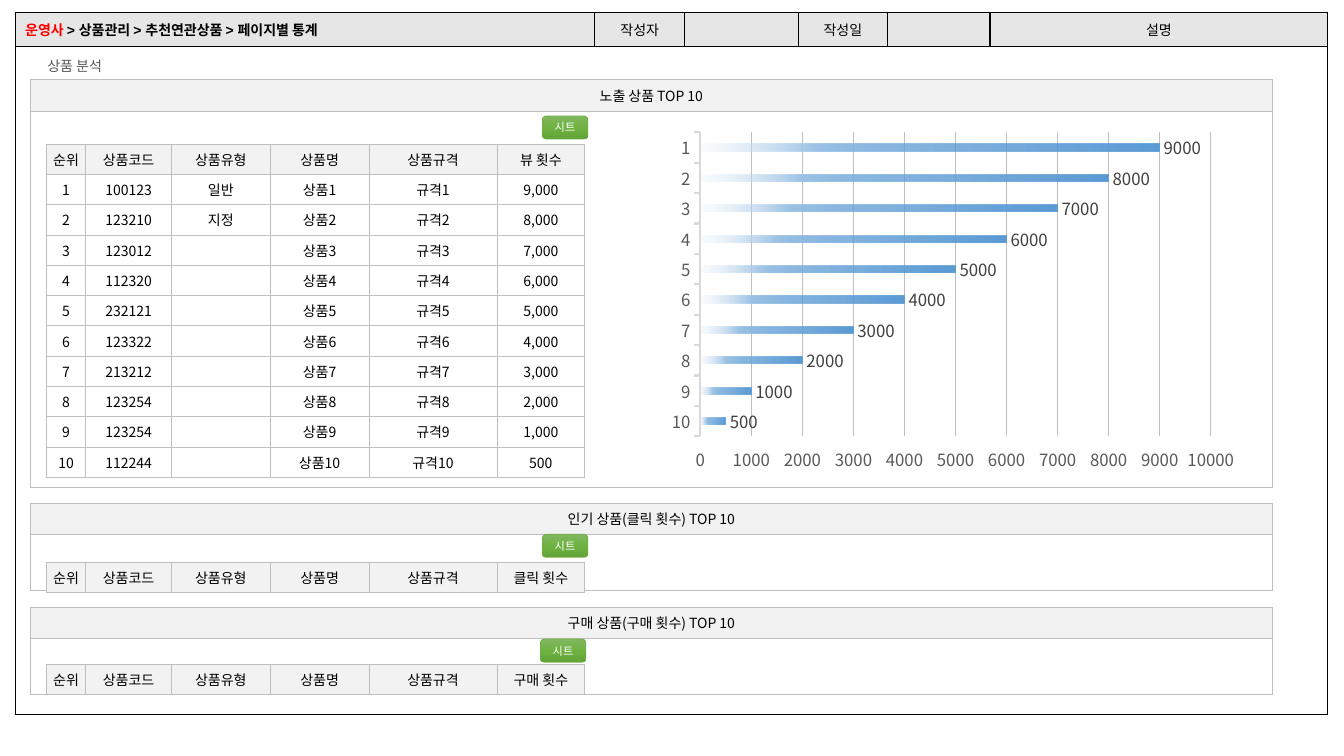
from lxml import etree
from pptx import Presentation
from pptx import util as u
from pptx.chart.data import CategoryChartData
from pptx.dml.color import RGBColor
from pptx.enum import chart as ch, shapes, text
from pptx.oxml import parse_xml
from pptx.oxml.ns import nsdecls, qn

BLACK = RGBColor(0, 0, 0)
WHITE = RGBColor(0xFF, 0xFF, 0xFF)
RED = RGBColor(0xFF, 0, 0)
HEADER_GRAY = RGBColor(0xE7, 0xE6, 0xE6)
PANEL_GRAY = RGBColor(0xF2, 0xF2, 0xF2)
LINE_GRAY = RGBColor(0xBF, 0xBF, 0xBF)
AXIS_GRAY = RGBColor(0xD9, 0xD9, 0xD9)
TEXT_GRAY = RGBColor(0x59, 0x59, 0x59)
LABEL_GRAY = RGBColor(0x40, 0x40, 0x40)
GREEN = RGBColor(0x70, 0xAD, 0x47)
NOTO = "Noto Sans CJK KR"
CENTER = text.PP_ALIGN.CENTER

# Gradient stops: position %, colour, opacity %
BUTTON_STOPS = [(0, "81B861", 100), (50, "6FB242", 100), (100, "62A336", 100)]
BAR_STOPS = [(0, "5B9BD5", 100), (51, "5B9BD5", 75),
             (75, "9DC3E6", 100), (100, "DEEBF7", 15)]

RANK_COLS = [0.39, 0.85, 0.98, 0.98, 1.27, 0.87]
RANK_HEADS = ["순위", "상품코드", "상품유형", "상품명", "상품규격"]
CODES = ["100123", "123210", "123012", "112320", "232121",
         "123322", "213212", "123254", "123254", "112244"]
KINDS = ["일반", "지정"] + [""] * 8
VIEWS = [9000, 8000, 7000, 6000, 5000, 4000, 3000, 2000, 1000, 500]


def add_text(p, content, size=10, color=BLACK, font=NOTO, bold=False, align=None):
    r = p.add_run()
    r.text = content
    r.font.size, r.font.bold, r.font.name = u.Pt(size), bold, font
    r.font.color.rgb = color
    etree.SubElement(r._r.get_or_add_rPr(), qn("a:ea")).set("typeface", NOTO)
    if align is not None:
        p.alignment = align


def set_gradient(fill, parent, stops, angle):
    """Give parent, the properties element behind fill, a linear gradient."""
    fill.solid()
    gs = "".join(
        f'<a:gs pos="{pos * 1000}"><a:srgbClr val="{color}">'
        f'<a:alpha val="{alpha * 1000}"/></a:srgbClr></a:gs>'
        for pos, color, alpha in stops)
    grad = parse_xml(f'<a:gradFill {nsdecls("a")} rotWithShape="1"><a:gsLst>{gs}</a:gsLst>'
                     f'<a:lin ang="{angle * 60000}" scaled="0"/></a:gradFill>')
    parent.replace(parent.find(qn("a:solidFill")), grad)


def set_borders(cell, color, width):
    tcPr = cell._tc.get_or_add_tcPr()
    for i, side in enumerate(("lnL", "lnR", "lnT", "lnB")):
        tcPr.insert(i, parse_xml(
            f'<a:{side} {nsdecls("a")} w="{u.Pt(width)}"><a:solidFill>'
            f'<a:srgbClr val="{color}"/></a:solidFill></a:{side}>'))


def style_font(font, size, color):
    font.name, font.size = NOTO, u.Pt(size)
    font.color.rgb = color


class StatsSlide:
    def __init__(self, s):
        self.s = s

    def title(self, content, x, y, w, h):
        sp = self.s.shapes.title
        sp.left, sp.top, sp.width, sp.height = map(u.Inches, (x, y, w, h))
        tf = sp.text_frame
        tf.word_wrap = True
        tf.auto_size = text.MSO_AUTO_SIZE.NONE
        tf.vertical_anchor = text.MSO_ANCHOR.TOP
        add_text(tf.paragraphs[0], content, color=TEXT_GRAY, align=text.PP_ALIGN.LEFT)

    def grid(self, x, y, cols, rows, line, width):
        """Add an empty, unfilled table with uniform borders."""
        table = self.s.shapes.add_table(
            len(rows), len(cols), u.Inches(x), u.Inches(y),
            u.Inches(sum(cols)), u.Inches(sum(rows))).table
        table.first_row = table.horz_banding = False
        for col, w in zip(table.columns, cols):
            col.width = u.Inches(w)
        for row, h in zip(table.rows, rows):
            row.height = u.Inches(h)
        for cell in table.iter_cells():
            cell.fill.background()
            cell.vertical_anchor = text.MSO_ANCHOR.MIDDLE
            set_borders(cell, line, width)
            end = cell.text_frame.paragraphs[0]._p.get_or_add_endParaRPr()
            end.set("sz", "1000")
        return table

    def cell(self, cell, content="", fill=None, inset=0, **fmt):
        cell.margin_left = cell.margin_right = u.Inches(inset)
        if fill is not None:
            cell.fill.solid()
            cell.fill.fore_color.rgb = fill
        if content:
            add_text(cell.text_frame.paragraphs[0], content, **{"align": CENTER, **fmt})

    def page_frame(self):
        table = self.grid(0.15, 0.12, [5.75, 0.89, 1.13, 0.88, 1.02, 3.35],
                          [0.34, 6.63], BLACK, 1)
        for i, label in enumerate(["", "작성자", "", "작성일", "", "설명"]):
            self.cell(table.cell(0, i), label, HEADER_GRAY, 0.1, font="Arial")
        p = table.cell(0, 0).text_frame.paragraphs[0]
        add_text(p, "운영사 ", color=RED, font="Arial", bold=True)
        add_text(p, "> 상품관리 > 추천연관상품 > 페이지별 통계", font="Arial", bold=True)
        table.cell(1, 0).merge(table.cell(1, 5))

    def panel(self, heading, y, body_height):
        table = self.grid(0.3, y, [12.32], [0.31, body_height], LINE_GRAY, 0.5)
        self.cell(table.cell(0, 0), heading, PANEL_GRAY)
        self.cell(table.cell(1, 0), fill=WHITE)

    def ranking(self, y, count_head, row_height, records=()):
        rows = [RANK_HEADS + [count_head], *records]
        table = self.grid(0.46, y, RANK_COLS, [row_height] * len(rows), LINE_GRAY, 0.5)
        for i, row in enumerate(rows):
            for j, value in enumerate(row):
                self.cell(table.cell(i, j), value, None if i else PANEL_GRAY)

    def button(self, content, x, y):
        sp = self.s.shapes.add_shape(shapes.MSO_SHAPE.ROUNDED_RECTANGLE, u.Inches(x),
                                     u.Inches(y), u.Inches(0.45), u.Inches(0.23))
        sp.shadow.inherit = False
        set_gradient(sp.fill, sp._element.spPr, BUTTON_STOPS, 90)
        sp.line.color.rgb, sp.line.width = GREEN, u.Pt(0.5)
        tf = sp.text_frame
        tf.vertical_anchor = text.MSO_ANCHOR.MIDDLE
        add_text(tf.paragraphs[0], content, size=8, color=WHITE, align=CENTER)

    def view_chart(self, x, y, w, h):
        data = CategoryChartData()
        data.categories = [str(rank) for rank in range(10, 0, -1)]
        data.add_series("Series 1", VIEWS[::-1])
        chart = self.s.shapes.add_chart(ch.XL_CHART_TYPE.BAR_CLUSTERED, u.Inches(x), u.Inches(y),
                                        u.Inches(w), u.Inches(h), data).chart
        chart.has_legend = chart.has_title = False
        style_font(chart.font, 10, BLACK)

        ranks, views = chart.category_axis, chart.value_axis
        for axis in (ranks, views):
            axis.major_tick_mark = ch.XL_TICK_MARK.OUTSIDE
            style_font(axis.tick_labels.font, 12, TEXT_GRAY)
        ranks.format.line.color.rgb, ranks.format.line.width = AXIS_GRAY, u.Pt(1.5)
        views.format.line.fill.background()
        views.minimum_scale, views.maximum_scale, views.major_unit = 0, 10000, 1000
        views.has_major_gridlines = True
        line = views.major_gridlines.format.line
        line.color.rgb, line.width = LINE_GRAY, u.Pt(0.75)

        plot = chart.plots[0]
        plot.gap_width, plot.overlap, plot.vary_by_categories = 326, -58, False
        bars = plot.series[0]
        set_gradient(bars.format.fill, bars._element.spPr, BAR_STOPS, 180)
        labels = bars.data_labels
        labels.show_value = True
        labels.position = ch.XL_LABEL_POSITION.OUTSIDE_END
        style_font(labels.font, 12, LABEL_GRAY)

        area = chart._chartSpace.chart.plotArea
        for old in area.findall(qn("c:layout")):
            area.remove(old)
        sizes = "".join(f'<c:{k} val="{v}"/>' for k, v in
                        [("x", 0.136), ("y", 0.062), ("w", 0.814), ("h", 0.838)])
        area.insert(0, parse_xml(
            f'<c:layout {nsdecls("c")}><c:manualLayout><c:layoutTarget val="inner"/>'
            f'<c:xMode val="edge"/><c:yMode val="edge"/>{sizes}</c:manualLayout></c:layout>'))


def main():
    prs = Presentation()
    prs.slide_width, prs.slide_height = u.Inches(13.33), u.Inches(7.5)
    page = StatsSlide(prs.slides.add_slide(prs.slide_layouts[5]))
    page.page_frame()
    page.title("상품 분석", 0.37, 0.52, 1.98, 0.27)

    page.panel("노출 상품 TOP 10", 0.79, 3.73)
    records = [[str(n), code, kind, f"상품{n}", f"규격{n}", f"{views:,}"]
               for n, (code, kind, views) in enumerate(zip(CODES, KINDS, VIEWS), 1)]
    page.ranking(1.43, "뷰 횟수", 0.29, records)
    page.view_chart(6.1, 1.09, 6.22, 3.6)

    page.panel("인기 상품(클릭 횟수) TOP 10", 4.99, 0.56)
    page.panel("구매 상품(구매 횟수) TOP 10", 6.02, 0.56)
    page.ranking(5.58, "클릭 횟수", 0.27)
    page.ranking(6.59, "구매 횟수", 0.27)

    for x, y in [(5.38, 1.15), (5.38, 5.3), (5.36, 6.34)]:
        page.button("시트", x, y)
    prs.save("out.pptx")


if __name__ == "__main__":
    main()
